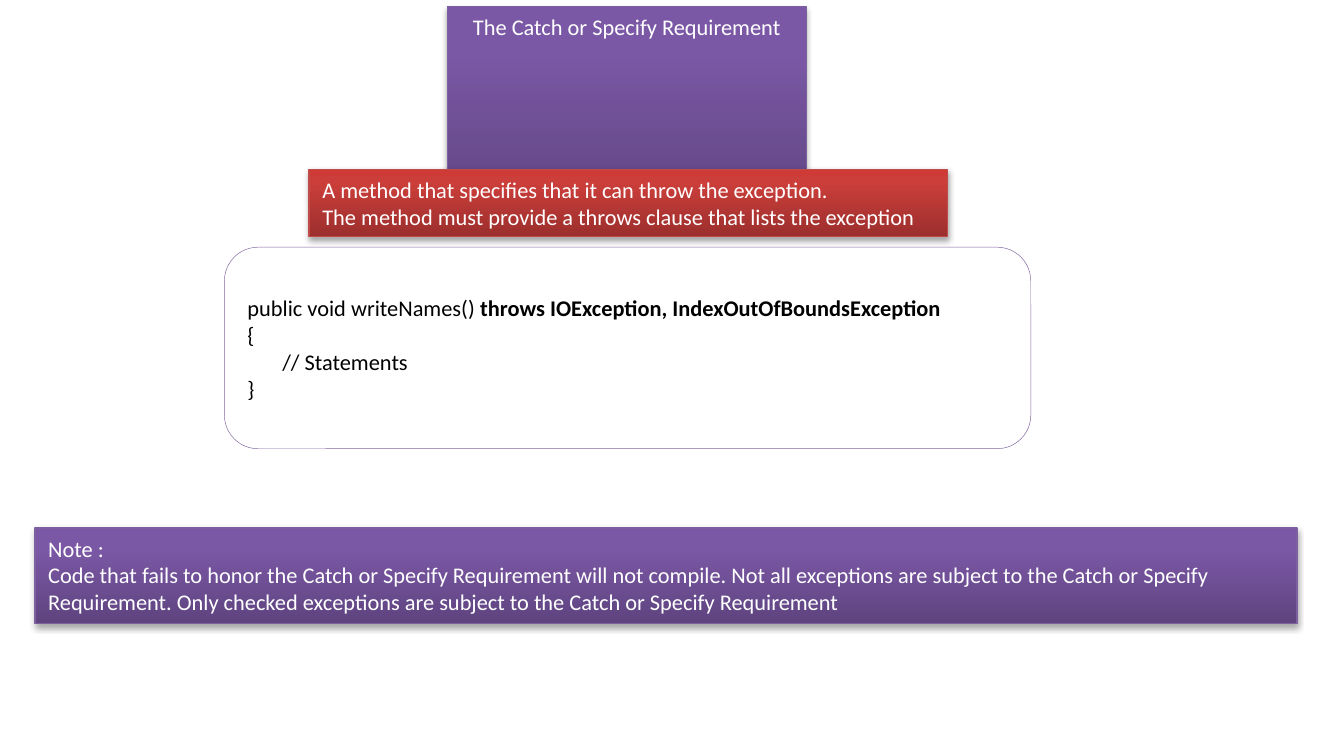
import copy
from dataclasses import dataclass

import pptx
import pptx.dml.color
import pptx.enum.shapes
import pptx.enum.text
import pptx.oxml
import pptx.oxml.ns
import pptx.util

Inches = pptx.util.Inches
SHAPE = pptx.enum.shapes.MSO_SHAPE
ANCHOR = pptx.enum.text.MSO_ANCHOR
ALIGN = pptx.enum.text.PP_ALIGN

COLORS = {
    "white": "FFFFFF", "black": "000000", "code_line": "8064A2",
    "purple_dark": "5F4480", "purple_mid": "7B58A6",
    "purple_light": "7C57A8", "purple_line": "7D60A0",
    "red_dark": "9C2F2D", "red_mid": "CB3E3A",
    "red_light": "CE3B37", "red_line": "BF4C48",
}


@dataclass
class Banner:
    left: float
    top: float
    width: float
    height: float
    hue: str
    lines: list[str]


def rgb(name: str) -> pptx.dml.color.RGBColor:
    return pptx.dml.color.RGBColor.from_string(COLORS[name])


def add_text(p, text: str, *, color: str = "white", bold: bool = False,
             size: float = 12, font: str = "Calibri") -> None:
    r = p.add_run()
    r.text = text
    r.font.name, r.font.size, r.font.bold = font, pptx.util.Pt(size), bold
    r.font.color.rgb = rgb(color)


def add_line(tf, first: bool, align=ALIGN.LEFT):
    p = tf.paragraphs[0] if first else tf.add_paragraph()
    p.alignment = align
    return p


def set_gradient(sp, hue: str) -> None:
    sp.fill.gradient()
    sp.fill.gradient_angle = 90
    stop_list = sp._element.spPr.find(".//" + pptx.oxml.ns.qn("a:gsLst"))
    stop_list.append(copy.deepcopy(stop_list[0]))
    shades = [(0, "dark"), (0.8, "mid"), (1, "light")]
    for stop, (position, shade) in zip(sp.fill.gradient_stops, shades):
        stop.position = position
        stop.color.rgb = rgb(f"{hue}_{shade}")


def set_shadow(sp) -> None:
    sp.shadow.inherit = False
    effects = sp._element.spPr.find(pptx.oxml.ns.qn("a:effectLst"))
    effects.append(pptx.oxml.parse_xml(
        f'<a:outerShdw {pptx.oxml.ns.nsdecls("a")} blurRad="40000" dist="23000" '
        f'dir="5400000" rotWithShape="0"><a:srgbClr val="{COLORS["black"]}">'
        '<a:alpha val="35000"/></a:srgbClr></a:outerShdw>'))


def format_banner(sp, banner: Banner, align=ALIGN.LEFT) -> None:
    sp.left, sp.top = Inches(banner.left), Inches(banner.top)
    sp.width, sp.height = Inches(banner.width), Inches(banner.height)
    set_gradient(sp, banner.hue)
    sp.line.color.rgb = rgb(f"{banner.hue}_line")
    sp.line.width = pptx.util.Pt(0.75)
    set_shadow(sp)
    tf = sp.text_frame
    tf.word_wrap = True
    tf.auto_size = pptx.enum.text.MSO_AUTO_SIZE.SHAPE_TO_FIT_TEXT
    tf.vertical_anchor = ANCHOR.TOP
    for i, line in enumerate(banner.lines):
        add_text(add_line(tf, i == 0, align), line)


def add_code_box(s) -> None:
    sp = s.shapes.add_shape(SHAPE.ROUNDED_RECTANGLE, Inches(1.67), Inches(1.84),
                            Inches(6), Inches(1.5))
    sp.shadow.inherit = False
    sp.fill.solid()
    sp.fill.fore_color.rgb = rgb("white")
    sp.line.color.rgb = rgb("code_line")
    sp.line.width = pptx.util.Pt(0.25)
    tf = sp.text_frame
    tf.word_wrap = True
    tf.vertical_anchor = ANCHOR.MIDDLE
    p = add_line(tf, True)
    add_text(p, "public void writeNames() ", color="black")
    add_text(p, "throws IOException, IndexOutOfBoundsException", color="black", bold=True)
    for text, indent in [("{", 0), ("// Statements", 0.26), ("}", 0)]:
        p = add_line(tf, False)
        p._p.get_or_add_pPr().set("marL", str(Inches(indent)))
        add_text(p, text, color="black")


def main() -> None:
    prs = pptx.Presentation()
    prs.slide_width, prs.slide_height = Inches(10), Inches(5.5)
    s = prs.slides.add_slide(prs.slide_layouts[5])

    # Title
    title = Banner(3.33, 0.05, 2.67, 0.3, "purple", ["The Catch or Specify Requirement"])
    format_banner(s.shapes.title, title, ALIGN.CENTER)

    # Code sample
    add_code_box(s)

    # Explanation and note
    banners = [
        Banner(2.3, 1.26, 4.75, 0.5, "red", [
            "A method that specifies that it can throw the exception.",
            "The method must provide a throws clause that lists the exception"]),
        Banner(0.26, 3.93, 9.39, 0.71, "purple", [
            "Note :",
            "Code that fails to honor the Catch or Specify Requirement will not compile. "
            "Not all exceptions are subject to the Catch or Specify Requirement. "
            "Only checked exceptions are subject to the Catch or Specify Requirement"]),
    ]
    for banner in banners:
        sp = s.shapes.add_shape(SHAPE.RECTANGLE, 0, 0, 0, 0)
        format_banner(sp, banner)

    prs.save("out.pptx")


if __name__ == "__main__":
    main()
